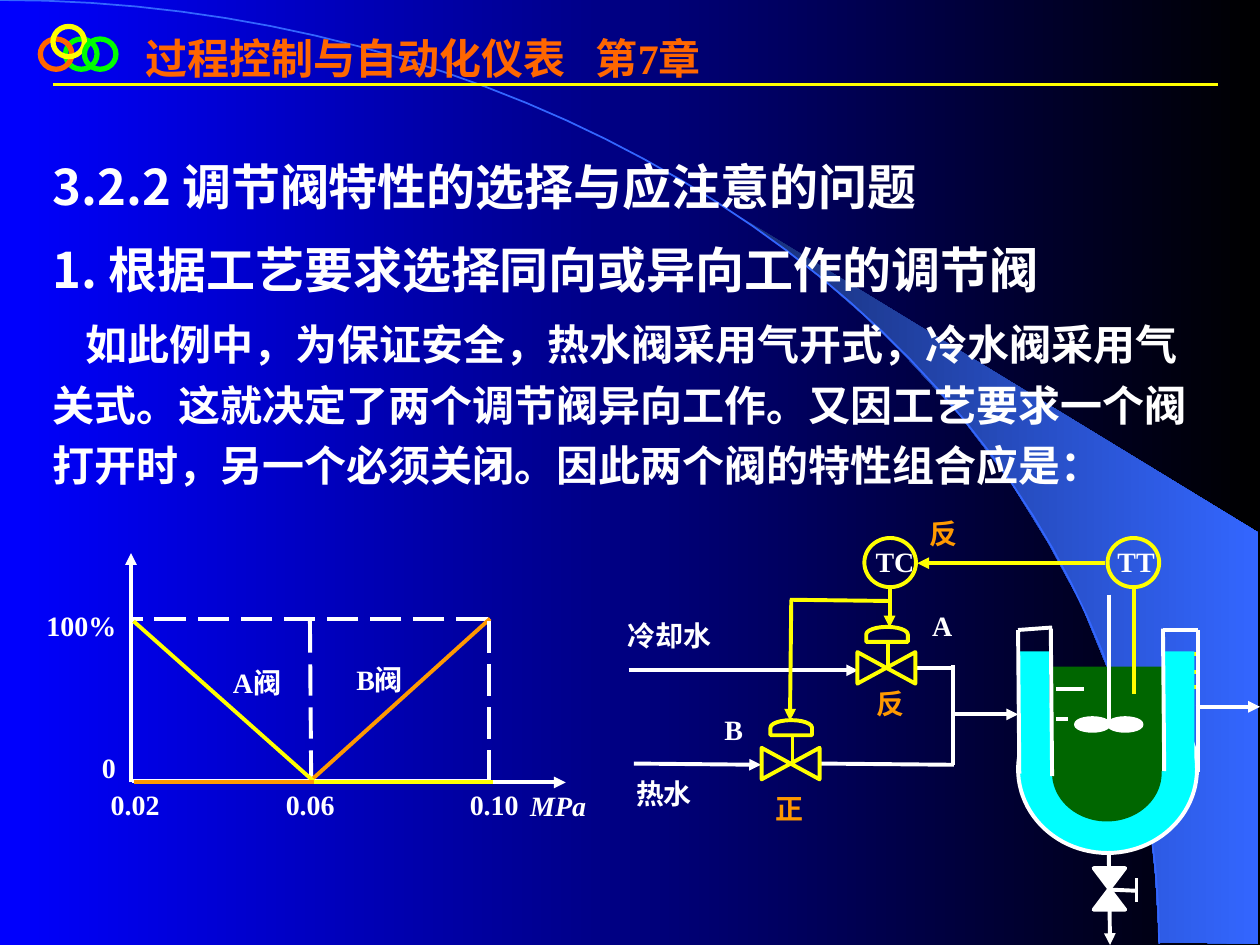
from math import cos, pi, sin
from typing import NamedTuple

from lxml.etree import SubElement
from pptx import Presentation
from pptx.dml.color import RGBColor
from pptx.enum.dml import MSO_LINE
from pptx.enum.shapes import MSO_CONNECTOR, MSO_SHAPE as Preset
from pptx.enum.text import MSO_ANCHOR, MSO_AUTO_SIZE
from pptx.oxml.ns import qn
from pptx.util import Cm, Pt

COLOURS = {
    "blue": "0000FF", "black": "000000", "navy": "182F76", "sky": "3366FF",
    "white": "FFFFFF", "yellow": "FFFF00", "orange": "FF9900", "red": "FF6600",
    "lime": "00FF00", "cyan": "00FFFF", "green": "006600",
}
SERIF, SANS = "Times New Roman", "Noto Sans CJK SC"


class Line(NamedTuple):
    x1: float
    y1: float
    x2: float
    y2: float
    colour: str = "white"
    arrow: bool = False
    dashed: bool = False
    weight: float = 2.25


class Label(NamedTuple):
    text: str
    left: float
    top: float
    width: float
    height: float
    colour: str = "white"


def inch(value: float) -> Cm:
    return Cm(value * 2.54)


def rgb(name: str) -> RGBColor:
    return RGBColor.from_string(COLOURS[name])


def shade(fill, start: str, end: str) -> None:
    """Left-to-right gradient."""
    fill.gradient()
    fill.gradient_angle = 0
    for stop, name in zip(fill.gradient_stops, (start, end)):
        stop.color.rgb = rgb(name)


def style(shape, fill=None, line=None, weight=2.25) -> None:
    shape.shadow.inherit = False
    if fill:
        shape.fill.solid()
        shape.fill.fore_color.rgb = rgb(fill)
    else:
        shape.fill.background()
    if line:
        shape.line.color.rgb = rgb(line)
        shape.line.width = Pt(weight)
    else:
        shape.line.fill.background()


def draw_shape(preset, left, top, width, height, rotation=0, **look) -> None:
    shape = page.shapes.add_shape(preset, inch(left), inch(top), inch(width), inch(height))
    shape.rotation = rotation
    style(shape, **look)


def draw_outline(points, closed: bool, **look):
    scaled = [(inch(x), inch(y)) for x, y in points]
    builder = page.shapes.build_freeform(*scaled[0])
    builder.add_line_segments(scaled[1:], close=closed)
    shape = builder.convert_to_shape()
    style(shape, **look)
    return shape


def draw_line(line: Line) -> None:
    connector = page.shapes.add_connector(
        MSO_CONNECTOR.STRAIGHT, *map(inch, (line.x1, line.y1, line.x2, line.y2)))
    connector.line.color.rgb = rgb(line.colour)
    connector.line.width = Pt(line.weight)
    if line.dashed:
        connector.line.dash_style = MSO_LINE.LONG_DASH
    if line.arrow:
        SubElement(connector.line._get_or_add_ln(), qn("a:tailEnd"), type="triangle")
    SubElement(connector._element.spPr, qn("a:effectLst"))


def add_text(para, text: str, *, size=16, font=SERIF, colour="white", italic=False,
             spacing=None, before=0, indent=0, tab=None) -> None:
    if spacing:
        para.line_spacing = spacing
    if before:
        para.space_before = Pt(before)
    properties = para._p.get_or_add_pPr()
    if indent:
        properties.set("indent", str(inch(indent)))
    if tab:
        tabs = SubElement(properties, qn("a:tabLst"))
        SubElement(tabs, qn("a:tab"), pos=str(inch(tab)), algn="l")
    span = para.add_run()
    span.text = text
    span.font.size, span.font.name = Pt(size), font
    span.font.bold, span.font.italic = True, italic or None
    span.font.color.rgb = rgb(colour)
    SubElement(span._r.get_or_add_rPr(), qn("a:ea"), typeface=SANS)


def add_box(left, top, width, height):
    frame = page.shapes.add_textbox(inch(left), inch(top), inch(width), inch(height)).text_frame
    frame.word_wrap = True
    return frame


def draw_label(label: Label, **format_options) -> None:
    frame = add_box(label.left, label.top, label.width, label.height)
    add_text(frame.paragraphs[0], label.text, colour=label.colour, **format_options)


def draw_control_valve(x: float, y: float, dome_y: float) -> None:
    draw_shape(Preset.FLOWCHART_COLLATE, x - 0.12, y - 0.23, 0.25, 0.46, 270, line="yellow")
    draw_shape(Preset.FLOWCHART_DELAY, x - 0.05, dome_y - 0.16, 0.12, 0.33, 270, line="yellow")
    draw_line(Line(x + 0.02, y, x + 0.02, dome_y + 0.06, "yellow"))


deck = Presentation()
deck.slide_width, deck.slide_height = inch(10), inch(7.5)
page = deck.slides.add_slide(deck.slide_layouts[6])

# Background: gradient, swoosh and arc
shade(page.background.fill, "blue", "black")
swoosh = draw_outline([
    (9.2, 7.48), (9.99, 7.49), (9.99, 4.23), (5.89, 1.73), (6.24, 1.99), (6.53, 2.22),
    (6.85, 2.5), (7.16, 2.8), (7.62, 3.3), (8.03, 3.84), (8.32, 4.31), (8.58, 4.79),
    (8.78, 5.28), (8.93, 5.72), (9.03, 6.09), (9.13, 6.56), (9.17, 6.96)], True)
shade(swoosh.fill, "navy", "sky")
ARC_STEPS = 40
angles = [step * pi / 2 / ARC_STEPS for step in range(ARC_STEPS + 1)]
draw_outline([(9.2 * sin(a), 7.49 * (1 - cos(a))) for a in angles], False, line="sky", weight=1)

# Header: rings, rule and chapter title
draw_line(Line(0.42, 0.67, 9.67, 0.67, "yellow", weight=1.5))
for ring_left, ring_top, ring_colour in [
        (0.52, 0.31, "lime"), (0.32, 0.31, "red"), (0.42, 0.21, "yellow"), (0.67, 0.31, "lime")]:
    draw_shape(Preset.OVAL, ring_left, ring_top, 0.25, 0.24, line=ring_colour, weight=3)
draw_label(Label("过程控制与自动化仪表\t第7章", 1.06, 0.21, 8.42, 0.5, "red"), size=24, tab=3.57)

# Vessel: jacket, liquid, stirrer blades
draw_shape(Preset.OVAL, 8.08, 5.44, 1.42, 1.33, fill="cyan", line="white")
draw_shape(Preset.OVAL, 8.35, 5.75, 0.87, 0.77, fill="green")
draw_shape(Preset.RECTANGLE, 8.34, 5.29, 0.9, 0.83, fill="green")
for blade_left in (8.54, 8.8):
    draw_shape(Preset.OVAL, blade_left, 5.7, 0.26, 0.1, fill="white", line="white")
for tick in [Line(9.28, 5.19, 9.51, 5.19, "yellow"), Line(9.34, 5.33, 9.5, 5.33, "yellow"),
             Line(9.45, 5.45, 9.5, 5.45, "yellow")]:
    draw_line(tick)
for jacket_left in (8.08, 9.23):
    draw_shape(Preset.RECTANGLE, jacket_left, 5.17, 0.25, 0.89, fill="cyan")
vessel_lines = [
    Line(8.08, 5, 8.09, 6.14), Line(8.34, 4.99, 8.35, 6.16),
    Line(9.23, 4.99, 9.24, 6.12), Line(9.51, 5, 9.51, 6.13),
    Line(8.08, 5, 8.35, 4.98), Line(9.23, 5, 9.51, 5),
    Line(8.8, 4.72, 8.8, 5.75), Line(8.38, 5.47, 8.6, 5.47), Line(8.38, 5.71, 8.48, 5.71),
]

# Pipes, drain and signal lines
pipe_lines = [
    Line(8.8, 6.77, 8.81, 7.5, arrow=True), Line(7.56, 5.67, 8.08, 5.67, arrow=True),
    Line(9.49, 5.61, 10, 5.61, arrow=True), Line(7.56, 5.28, 7.56, 6.07),
    Line(6.5, 6.06, 7.57, 6.07), Line(7.26, 5.3, 7.57, 5.3),
    Line(4.99, 5.32, 6.81, 5.32, arrow=True), Line(5.03, 6.06, 6.04, 6.07, arrow=True),
    Line(8.8, 7.06, 9.02, 7.07), Line(9.02, 6.97, 9.02, 7.16),
]
signal_lines = [
    Line(7.06, 4.67, 7.06, 4.98, "yellow", True), Line(9, 4.67, 9, 5.51, "yellow"),
    Line(8.77, 4.47, 7.28, 4.47, "yellow", True), Line(6.28, 4.76, 6.27, 5.72, "yellow", True),
    Line(6.27, 4.76, 7.05, 4.77, "yellow"),
]
for item in vessel_lines + pipe_lines + signal_lines:
    draw_line(item)
draw_control_valve(7.03, 5.3, 5.03)
draw_control_valve(6.27, 6.06, 5.77)
draw_shape(Preset.FLOWCHART_COLLATE, 8.68, 6.89, 0.25, 0.33, fill="white", line="white")
for instrument_left in (6.86, 8.79):
    draw_shape(Preset.OVAL, instrument_left, 4.27, 0.41, 0.39, line="yellow")
for label in [
        Label("TC", 6.85, 4.22, 0.72, 0.36), Label("TT", 8.77, 4.22, 0.72, 0.36),
        Label("热水", 4.95, 6.06, 0.98, 0.54), Label("冷却水", 4.88, 4.81, 1.18, 0.41),
        Label("A", 7.3, 4.73, 0.6, 0.36), Label("B", 5.65, 5.55, 0.6, 0.36),
        Label("反", 7.28, 4, 0.43, 0.42, "orange"), Label("反", 6.86, 5.35, 0.43, 0.42, "orange"),
        Label("正", 6.06, 6.18, 0.43, 0.42, "orange")]:
    draw_label(label, spacing=1.2)

# Main text
body = add_box(0.32, 1.06, 9.2, 2.92)
body.vertical_anchor = MSO_ANCHOR.MIDDLE
body.auto_size = MSO_AUTO_SIZE.SHAPE_TO_FIT_TEXT
add_text(body.paragraphs[0], "3.2.2 调节阀特性的选择与应注意的问题", size=28, font=SANS, spacing=1.2)
add_text(body.add_paragraph(), "1. 根据工艺要求选择同向或异向工作的调节阀",
         size=28, font=SANS, spacing=1.2, before=7)
add_text(body.add_paragraph(),
         "如此例中，为保证安全，热水阀采用气开式，冷水阀采用气关式。这就决定了两个调节阀异向工作。"
         "又因工艺要求一个阀打开时，另一个必须关闭。因此两个阀的特性组合应是：",
         size=24, font=SANS, spacing=1.2, before=6, indent=0.26)

# Valve characteristic graph
for item in [
        Line(1.04, 6.21, 1.04, 4.39, arrow=True), Line(1.06, 6.21, 4.49, 6.21, arrow=True),
        Line(2.46, 4.93, 2.47, 6.2, dashed=True), Line(3.87, 4.91, 1.05, 4.91, dashed=True),
        Line(3.89, 4.91, 2.45, 6.21, "orange"), Line(3.88, 4.93, 3.88, 6.2, dashed=True),
        Line(1.05, 6.2, 3.87, 6.2), Line(2.49, 6.2, 1.06, 4.93, "yellow"),
        Line(1.06, 6.21, 2.49, 6.21, "orange"), Line(2.49, 6.21, 3.91, 6.21, "yellow")]:
    draw_line(item)
for label in [
        Label("0", 0.71, 5.91, 0.44, 0.32), Label("100%", 0.27, 4.78, 0.82, 0.25),
        Label("0.02", 0.78, 6.2, 0.82, 0.36), Label("0.06", 2.17, 6.2, 0.86, 0.31),
        Label("0.10", 3.63, 6.2, 0.78, 0.31), Label("A阀", 1.75, 5.23, 0.71, 0.43),
        Label("B阀", 2.73, 5.21, 0.6, 0.43)]:
    draw_label(label)
draw_label(Label("MPa", 4.11, 6.21, 0.81, 0.36), italic=True)

deck.save("out.pptx")
